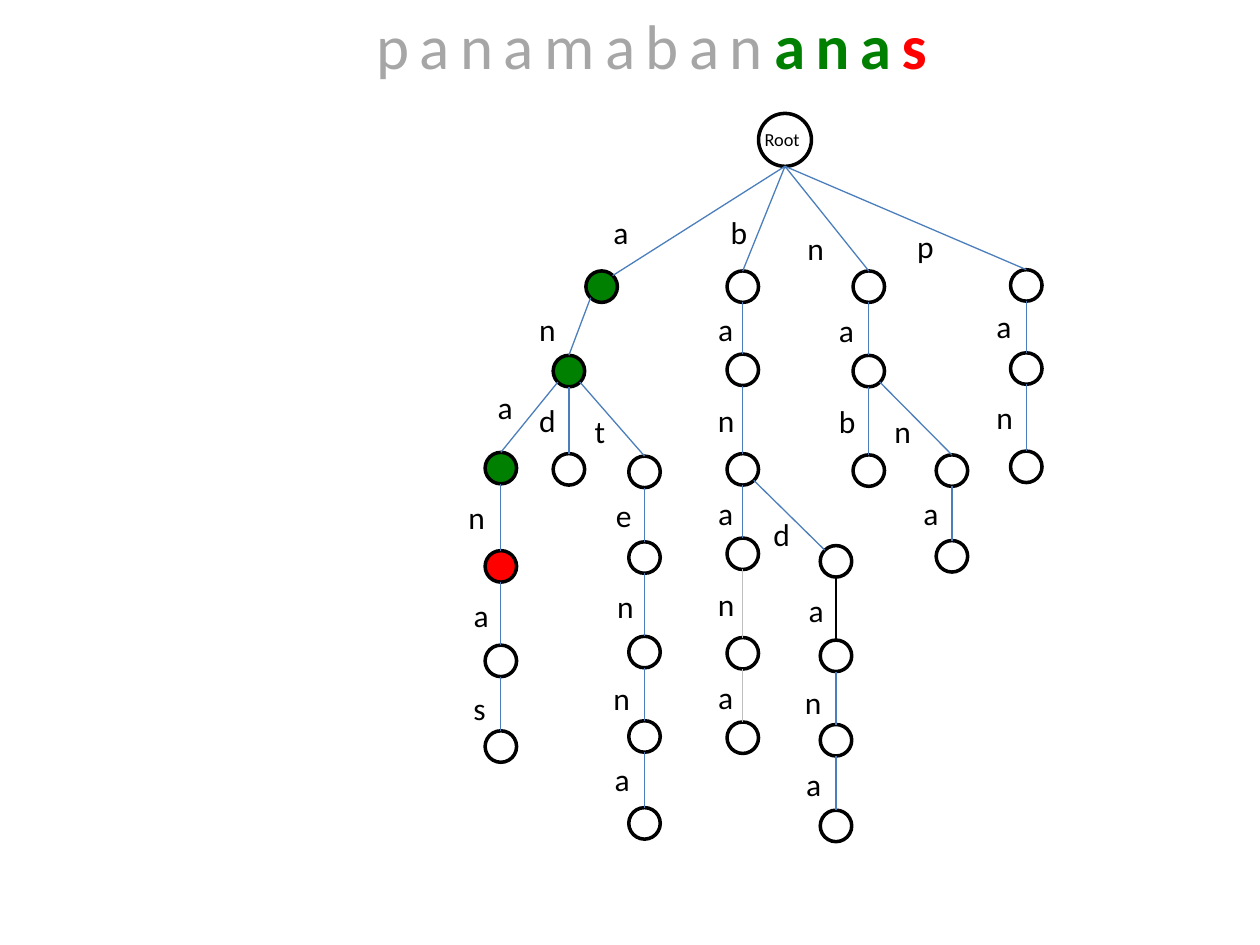
from collections import namedtuple
from dataclasses import dataclass

from lxml.etree import SubElement
from pptx import Presentation
from pptx.dml.color import RGBColor
from pptx.enum.shapes import MSO_CONNECTOR as LineKind, MSO_SHAPE as Preset
from pptx.enum.text import MSO_AUTO_SIZE as AutoSize, PP_ALIGN as Align
from pptx.oxml.ns import qn
from pptx.util import Inches, Pt


@dataclass(frozen=True)
class Theme:
    font: str = "Calibri"
    ink: str = "000000"
    paper: str = "FFFFFF"
    matched: str = "008000"
    mismatch: str = "FF0000"
    passed: str = "A6A6A6"
    edge: str = "4B7EBC"
    faint_edge: str = "BFBFBF"
    title_size: float = 36
    letter_size: float = 18
    root_size: float = 10.5
    letter_spacing: float = 6
    outline: float = 2
    edge_width: float = 0.75


THEME = Theme()
ROOT = ""
ROOT_SIZE, NODE_SIZE = 0.42, 0.25
DIAGONAL = 0.7  # share of the radius at a 45-degree joint
LETTER_WIDTHS = {"a": 0.32, "e": 0.33, "s": 0.30, "t": 0.29}

# Each node is named by the prefix it spells; its parent is one letter shorter
Node = namedtuple("Node", "prefix left top letter_left letter_top")
NODES = [Node(*row) for row in [
    ("a", 4.65, 2.15, 4.77, 1.64),
    ("an", 4.39, 2.82, 4.18, 2.41),
    ("ana", 3.85, 3.59, 3.85, 3.03),
    ("anan", 3.85, 4.37, 3.62, 3.90),
    ("anana", 3.85, 5.12, 3.66, 4.68),
    ("ananas", 3.85, 5.80, 3.66, 5.42),
    ("and", 4.39, 3.60, 4.18, 3.13),
    ("ant", 4.99, 3.62, 4.62, 3.22),
    ("ante", 4.99, 4.30, 4.79, 3.89),
    ("anten", 4.99, 5.05, 4.80, 4.61),
    ("antenn", 4.99, 5.72, 4.77, 5.34),
    ("antenna", 4.99, 6.41, 4.78, 5.98),
    ("b", 5.77, 2.15, 5.70, 1.64),
    ("ba", 5.77, 2.81, 5.60, 2.41),
    ("ban", 5.77, 3.60, 5.60, 3.13),
    ("bana", 5.77, 4.27, 5.60, 3.87),
    ("banan", 5.77, 5.06, 5.60, 4.59),
    ("banana", 5.77, 5.73, 5.60, 5.33),
    ("band", 6.51, 4.33, 6.04, 4.04),
    ("banda", 6.51, 5.08, 6.32, 4.64),
    ("bandan", 6.51, 5.75, 6.29, 5.37),
    ("bandana", 6.51, 6.43, 6.30, 6.02),
    ("n", 6.77, 2.15, 6.31, 1.77),
    ("na", 6.77, 2.82, 6.56, 2.42),
    ("nab", 6.77, 3.61, 6.56, 3.14),
    ("nan", 7.43, 3.61, 7.00, 3.22),
    ("nana", 7.43, 4.29, 7.23, 3.87),
    ("p", 8.02, 2.14, 7.18, 1.75),
    ("pa", 8.02, 2.80, 7.81, 2.39),
    ("pan", 8.02, 3.58, 7.81, 3.11),
]]
NODE_FILLS = {
    "a": THEME.matched,
    "an": THEME.matched,
    "ana": THEME.matched,
    "anan": THEME.mismatch,
}
EDGE_COLOURS = {
    "banan": THEME.faint_edge,
    "banana": THEME.faint_edge,
    "banda": THEME.ink,
}
# Edges that meet their child beside the top: 1 is right, -1 is left
SIDE_ARRIVALS = {"a": 1, "band": -1}


def rgb(colour):
    return RGBColor.from_string(colour)


def add_text(slide, runs, left, top, width, height, size,
             wrap=False, align=Align.LEFT, spacing=None):
    """Add one line of text; runs holds (text, colour, bold) triples."""
    box = slide.shapes.add_textbox(
        Inches(left), Inches(top), Inches(width), Inches(height))
    frame = box.text_frame
    frame.word_wrap = wrap
    frame.auto_size = AutoSize.SHAPE_TO_FIT_TEXT
    line = frame.paragraphs[0]
    line.alignment = align
    for text, colour, bold in runs:
        run = line.add_run()
        run.text = text
        run.font.name = THEME.font
        run.font.size = Pt(size)
        run.font.bold = bold
        run.font.color.rgb = rgb(colour)
        if spacing:
            run.font._element.set("spc", str(int(spacing * 100)))


def add_node(slide, left, top, size, fill):
    circle = slide.shapes.add_shape(
        Preset.OVAL, Inches(left), Inches(top), Inches(size), Inches(size))
    circle.shadow.inherit = False
    circle.fill.solid()
    circle.fill.fore_color.rgb = rgb(fill)
    circle.line.color.rgb = rgb(THEME.ink)
    circle.line.width = Pt(THEME.outline)
    return circle


def joint(circle, across, down):
    """Point on a circle, as shares of its radius from the centre."""
    radius = circle.width / 2
    return (int(circle.left + radius * (1 + across)),
            int(circle.top + radius * (1 + down)))


def add_edge(slide, parent, child, from_root, arrival, colour):
    # Side branches leave at the lower left or right, others at the bottom
    shift = child.left - parent.left
    if from_root or abs(shift) < Inches(0.1):
        start = joint(parent, 0, 1)
    else:
        start = joint(parent, DIAGONAL if shift > 0 else -DIAGONAL, DIAGONAL)
    if arrival:
        end = joint(child, arrival * DIAGONAL, -DIAGONAL)
    else:
        end = joint(child, 0, -1)
    edge = slide.shapes.add_connector(LineKind.STRAIGHT, *start, *end)
    if not arrival:
        edge.end_connect(child, 0)
    edge.line.color.rgb = rgb(colour)
    edge.line.width = Pt(THEME.edge_width)
    SubElement(edge._element.spPr, qn("a:effectLst"))


def add_trie(slide):
    # Nodes
    circles = {ROOT: add_node(slide, 6.02, 0.9, ROOT_SIZE, THEME.paper)}
    add_text(slide, [("Root", THEME.ink, False)], 5.97, 0.97, 0.55, 0.28,
             THEME.root_size, wrap=True)
    for node in NODES:
        fill = NODE_FILLS.get(node.prefix, THEME.paper)
        circles[node.prefix] = add_node(
            slide, node.left, node.top, NODE_SIZE, fill)

    # Edges and their letters
    for node in NODES:
        parent, letter = node.prefix[:-1], node.prefix[-1]
        add_edge(slide, circles[parent], circles[node.prefix],
                 from_root=parent == ROOT,
                 arrival=SIDE_ARRIVALS.get(node.prefix, 0),
                 colour=EDGE_COLOURS.get(node.prefix, THEME.edge))
        add_text(slide, [(letter, THEME.ink, False)],
                 node.letter_left, node.letter_top,
                 LETTER_WIDTHS.get(letter, 0.34), 0.4, THEME.letter_size)


def main():
    deck = Presentation()
    deck.slide_width, deck.slide_height = Inches(10), Inches(7.5)
    slide = deck.slides.add_slide(deck.slide_layouts[6])

    add_trie(slide)

    # Text being matched against the trie
    add_text(slide,
             [("panamaban", THEME.passed, False),
              ("ana", THEME.matched, True),
              ("s", THEME.mismatch, True)],
             2.67, 0, 5, 0.71, THEME.title_size,
             wrap=True, align=Align.CENTER, spacing=THEME.letter_spacing)

    deck.save("out.pptx")


if __name__ == "__main__":
    main()
